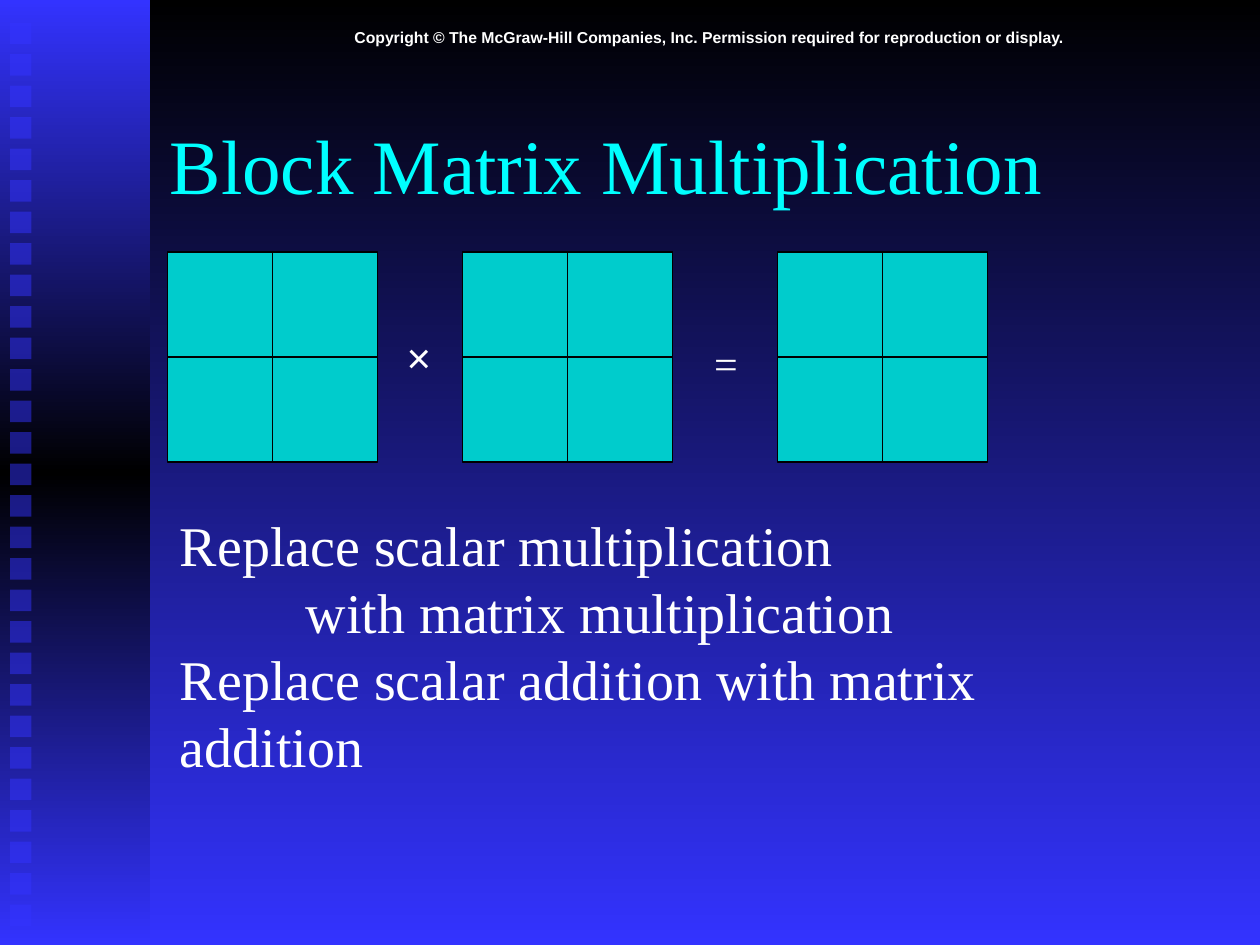
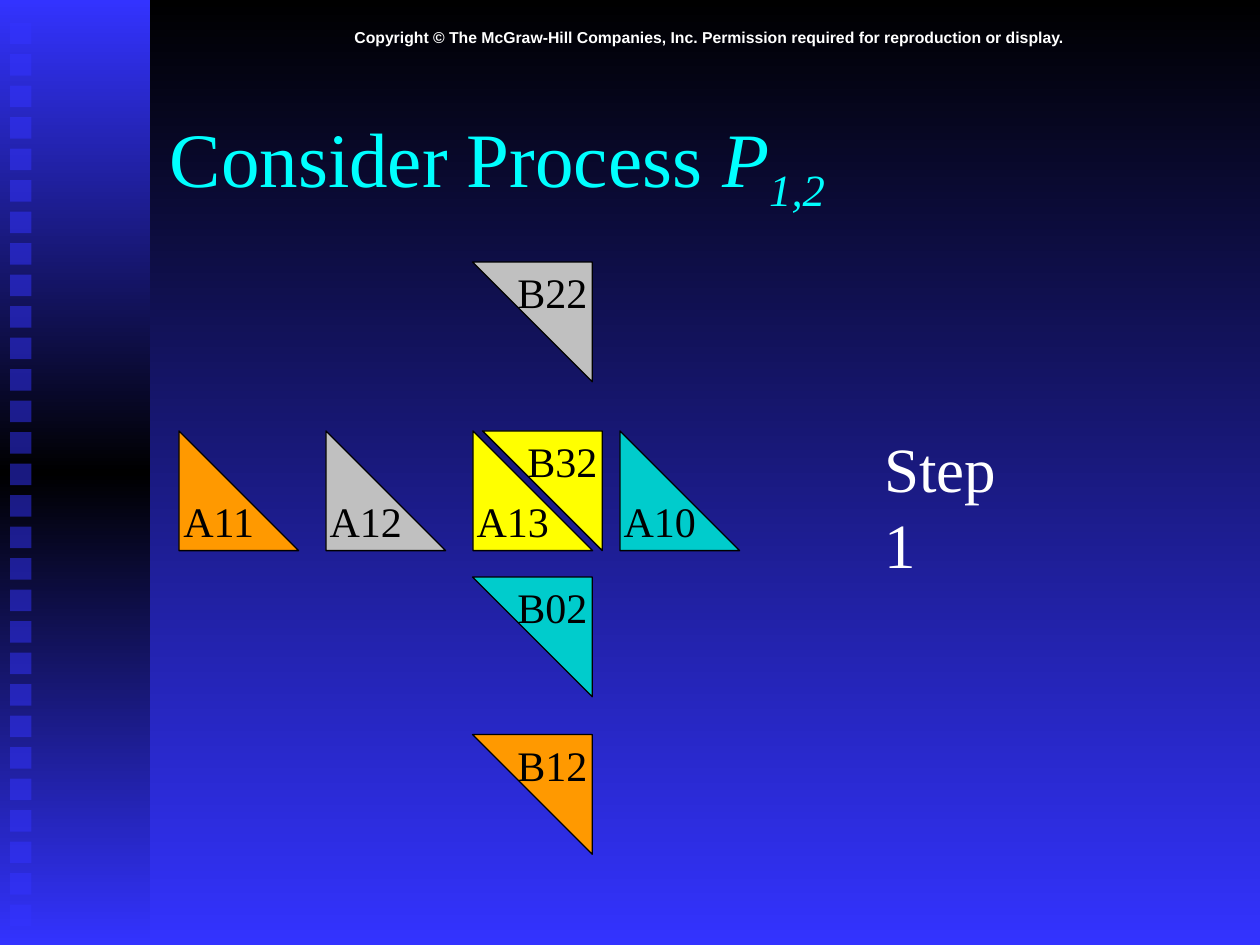
from lxml.etree import SubElement
from pptx import Presentation
from pptx.dml.color import RGBColor
from pptx.enum.shapes import MSO_SHAPE as Shape
from pptx.enum.text import MSO_ANCHOR as Anchor, PP_ALIGN as Align
from pptx.oxml.ns import qn
from pptx.util import Inches, Pt

COLORS = {
    "black": "000000",
    "blue": "3333FF",
    "white": "FFFFFF",
    "cyan": "00FFFF",
    "teal": "00CCCC",
    "orange": "FF9900",
    "gray": "C0C0C0",
    "yellow": "FFFF00",
}
SERIF = "Times New Roman"
SANS = "Arial"
COPYRIGHT = (
    "Copyright © The McGraw-Hill Companies, Inc. "
    "Permission required for reproduction or display."
)


def color(name):
    return RGBColor.from_string(COLORS[name])


def add_span(para, text, size=24, font=SERIF, ink="white", bold=False, italic=False, baseline=0):
    span = para.add_run()
    span.text = text
    span.font.size = Pt(size)
    span.font.name = font
    span.font.bold = bold
    span.font.italic = italic
    span.font.color.rgb = color(ink)
    if baseline:
        span._r.get_or_add_rPr().set("baseline", str(baseline * 1000))


def fill_gradient(fill, element, names):
    fill.gradient()
    fill.gradient_angle = 270
    stops = next(element.iter(qn("a:gsLst")))
    stops.clear()
    for index, name in enumerate(names):
        position = 100000 * index // (len(names) - 1)
        stop = SubElement(stops, qn("a:gs"), pos=str(position))
        SubElement(stop, qn("a:srgbClr"), val=COLORS[name])


class SlideBuilder:
    def __init__(self, deck):
        self.deck = deck
        self.slide = None

    def start(self, *title_parts):
        self.slide = self.deck.slides.add_slide(self.deck.slide_layouts[6])
        fill_gradient(self.slide.background.fill, self.slide.element, ["black", "blue"])
        band = self.shape(Shape.RECTANGLE, 0, 0, 1.19, 7.5)
        fill_gradient(band.fill, band.element, ["blue", "black", "blue"])
        for row in range(29):
            square = self.shape(Shape.RECTANGLE, 0.08, 0.18 + 0.25 * row, 0.17, 0.17, "blue")
            tint = next(square.element.iter(qn("a:srgbClr")))
            SubElement(tint, qn("a:alpha"), val="50000")
        self.text(1.25, 0.17, 8.75, 0.25, COPYRIGHT, wrap=True, align=Align.CENTER,
                  size=9, font=SANS, bold=True)
        para = self.text(1.25, 0.67, 8.5, 1.25, wrap=True, anchor=Anchor.MIDDLE)
        for text, style in title_parts:
            add_span(para, text, size=44, ink="cyan", **style)

    def shape(self, kind, left, top, width, height, fill=None, outline=None):
        shape = self.slide.shapes.add_shape(
            kind, Inches(left), Inches(top), Inches(width), Inches(height))
        shape.shadow.inherit = False
        if fill:
            shape.fill.solid()
            shape.fill.fore_color.rgb = color(fill)
        if outline:
            shape.line.color.rgb = color(outline)
            shape.line.width = Pt(0.75)
        else:
            shape.line.fill.background()
        return shape

    def text(self, left, top, width, height, *lines, wrap=False, align=Align.LEFT,
             anchor=Anchor.TOP, indents=(), **style):
        box = self.slide.shapes.add_textbox(
            Inches(left), Inches(top), Inches(width), Inches(height))
        frame = box.text_frame
        frame.word_wrap = wrap
        frame.vertical_anchor = anchor
        para = frame.paragraphs[0]
        para.alignment = align
        for index, line in enumerate(lines):
            if index:
                para = frame.add_paragraph()
                para.alignment = align
            if index in indents:
                para._p.get_or_add_pPr().set("marL", str(Inches(1)))
            add_span(para, line, **style)
        return para

    def matrix(self, left, top, cell=5 / 6):
        for row in range(2):
            for column in range(2):
                self.shape(Shape.RECTANGLE, left + column * cell, top + row * cell,
                           cell, cell, "teal", "black")

    def triangle(self, label, left, top, fill, flipped=False):
        shape = self.shape(Shape.RIGHT_TRIANGLE, left, top, 0.95, 0.95, fill, "black")
        frame = shape.text_frame
        frame.word_wrap = False
        frame.vertical_anchor = Anchor.MIDDLE
        if flipped:
            shape.rotation = 180
            next(shape.element.iter(qn("a:bodyPr"))).set("rot", "10800000")
        para = frame.paragraphs[0]
        para.alignment = Align.CENTER
        add_span(para, label, ink="black")


def build_multiplication(page):
    page.start(("Block Matrix Multiplication", {}))
    page.text(3.13, 2.58, 0.46, 0.5, "×", font=SANS)
    page.text(5.57, 2.63, 0.39, 0.5, "=")
    for left in (1.33, 3.67, 6.17):
        page.matrix(left, 2)
    page.text(1.33, 4, 8.09, 1.7,
              "Replace scalar multiplication",
              "with matrix multiplication",
              "Replace scalar addition with matrix addition",
              indents=(1,), size=32)


def build_process(page):
    page.start(
        ("Consider Process ", {}),
        ("P", {"italic": True}),
        ("1,2", {"italic": True, "baseline": -25}),
    )
    a_blocks = [("A11", "orange"), ("A12", "gray"), ("A13", "yellow"), ("A10", "teal")]
    for column, (label, fill) in enumerate(a_blocks):
        page.triangle(label, 1.42 + column * 7 / 6, 3.42, fill)
    b_blocks = [
        ("B22", 3.75, 2.08, "gray"),
        ("B32", 3.83, 3.42, "yellow"),
        ("B02", 3.75, 4.58, "teal"),
        ("B12", 3.75, 5.83, "orange"),
    ]
    for label, left, top, fill in b_blocks:
        page.triangle(label, left, top, fill, flipped=True)
    page.text(6.92, 3.36, 1.46, 0.7, "Step 1", size=36)


def main():
    deck = Presentation()
    deck.slide_width = Inches(10)
    deck.slide_height = Inches(7.5)
    page = SlideBuilder(deck)
    build_multiplication(page)
    build_process(page)
    deck.save("out.pptx")


if __name__ == "__main__":
    main()
